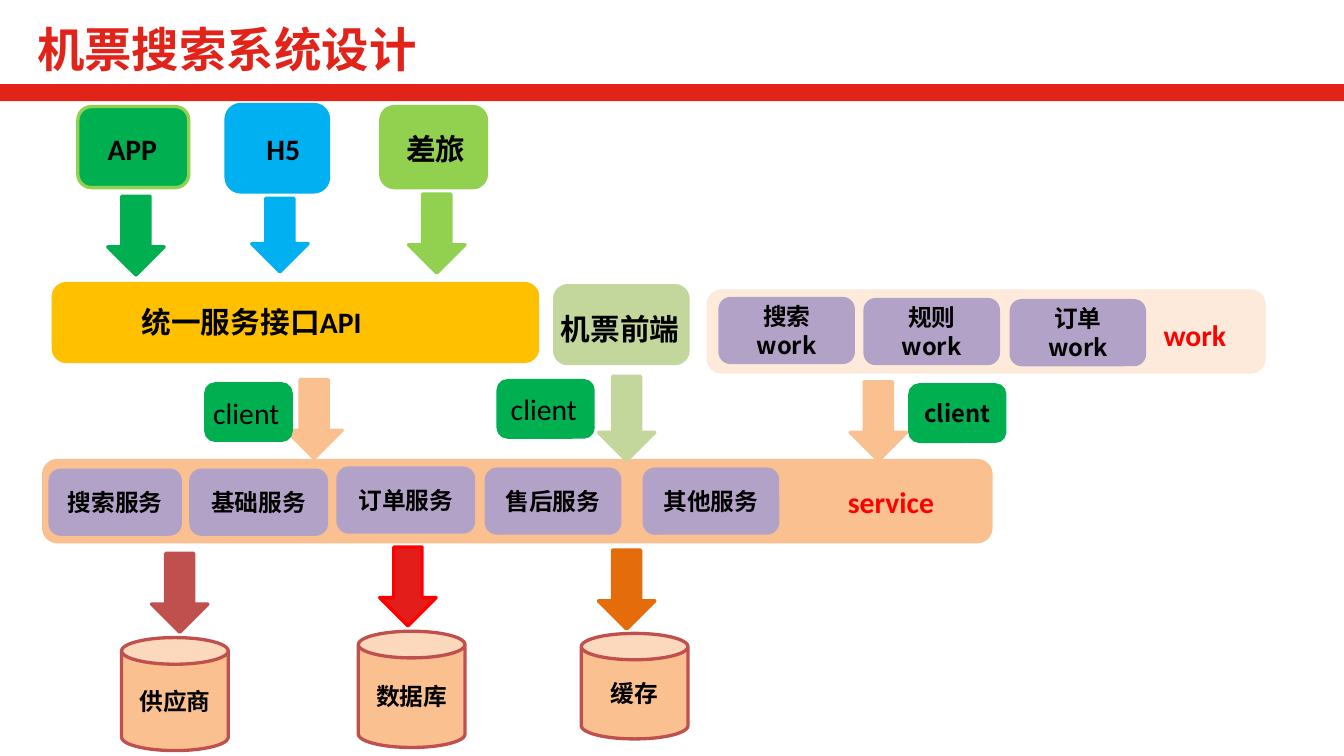
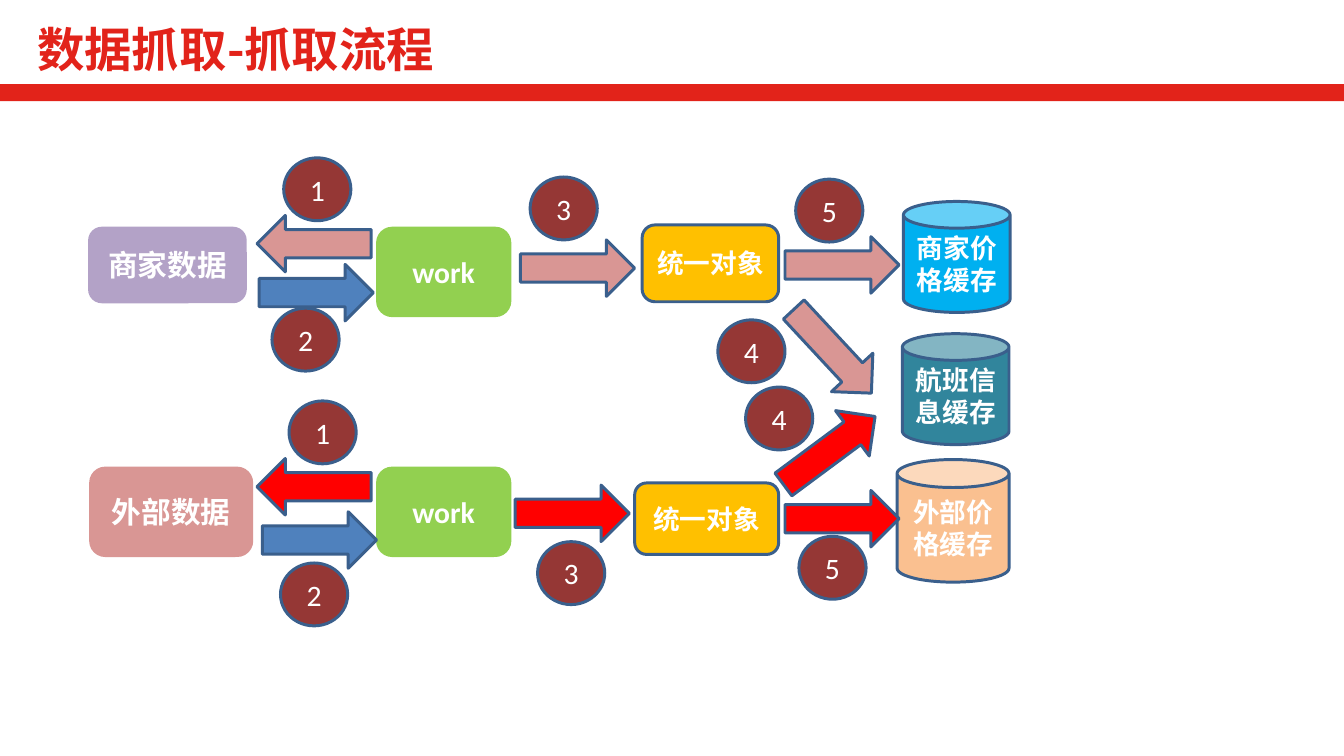
from lxml import etree
from pptx import Presentation
from pptx.dml.color import RGBColor
from pptx.enum.shapes import MSO_SHAPE as SHAPE
from pptx.enum.text import MSO_ANCHOR as ANCHOR, PP_ALIGN as ALIGN
from pptx.oxml.ns import qn
from pptx.util import Inches, Pt

LATIN, CJK = "Calibri", "Noto Sans CJK SC"
BRAND, BLACK, WHITE, RED = "E2231A", "000000", "FFFFFF", "FF0000"
GREEN, LIME, SKY, AMBER = "00B050", "92D050", "00B0F0", "FFC000"
PURPLE, PEACH, CREAM, SAGE = "B3A2C7", "FAC090", "FDEADA", "C3D69B"
BRICK, ORANGE, CRIMSON = "C0504D", "E46C0A", "E31D1A"
ROSE, BLUE, NAVY, TEAL, MAROON = "D99694", "4F81BD", "3A5F8C", "31859C", "953735"


def color(value):
    return RGBColor.from_string(value)


def write(shape, text, size, text_color, font=LATIN, bold=True, align=ALIGN.LEFT):
    """Set the text of a shape as one formatted paragraph."""
    shape.text_frame.text = text
    paragraph = shape.text_frame.paragraphs[0]
    paragraph.alignment = align
    run = paragraph.runs[0]
    run.font.name = font
    run.font.size = Pt(size)
    run.font.bold = bold
    run.font.color.rgb = color(text_color)
    east_asian = etree.SubElement(run.font._element, qn("a:ea"))
    east_asian.set("typeface", CJK)


def add_block(slide, kind, box, fill, line=None, width=2.25, rotation=0):
    """Add a filled preset shape, outlined in its own colour by default."""
    shape = slide.shapes.add_shape(kind, *map(Inches, box))
    shape.shadow.inherit = False
    shape.rotation = rotation
    shape.fill.solid()
    shape.fill.fore_color.rgb = color(fill)
    shape.line.color.rgb = color(line or fill)
    shape.line.width = Pt(width)
    return shape


def add_node(slide, kind, box, text, fill, line=None, width=2.25, **style):
    """Add a shape with centred text."""
    shape = add_block(slide, kind, box, fill, line, width)
    shape.text_frame.word_wrap = True
    shape.text_frame.vertical_anchor = ANCHOR.MIDDLE
    write(shape, text, align=ALIGN.CENTER, **style)


def add_label(slide, box, text, size=20, text_color=BLACK, wrap=False, **style):
    """Add a text box without fill or line."""
    label = slide.shapes.add_textbox(*map(Inches, box))
    label.text_frame.word_wrap = wrap
    write(label, text, size, text_color, **style)


def add_titled_slide(presentation, title):
    """Add a blank slide with the shared band and title."""
    slide = presentation.slides.add_slide(presentation.slide_layouts[6])
    band = add_block(slide, SHAPE.RECTANGLE, (0, 0.79, 12.6, 0.16), BRAND)
    band.line.fill.background()
    add_label(slide, (0.25, 0.14, 6.69, 0.71), title, 32, BRAND, wrap=True, font=CJK)
    return slide


def build_system_slide(presentation):
    slide = add_titled_slide(presentation, "机票搜索系统设计")
    node_style = dict(size=16, text_color=BLACK, font=CJK)

    # Channels, layers and panels
    for box, fill, line in [
        ((0.73, 1, 1.04, 0.76), GREEN, LIME),
        ((2.12, 0.98, 0.96, 0.82), SKY, SKY),
        ((3.57, 1, 0.99, 0.76), LIME, LIME),
        ((0.5, 2.66, 4.54, 0.73), AMBER, AMBER),
        ((5.2, 2.68, 1.25, 0.73), SAGE, SAGE),
        ((6.64, 2.73, 5.21, 0.76), CREAM, CREAM),
        ((0.41, 4.32, 8.88, 0.76), PEACH, PEACH),
    ]:
        add_block(slide, SHAPE.ROUNDED_RECTANGLE, box, fill, line)

    # Down arrows between the layers
    for left, top, height, fill, line in [
        (1.01, 1.84, 0.74, GREEN, GREEN),
        (2.36, 1.86, 0.69, SKY, SKY),
        (3.83, 1.82, 0.74, LIME, LIME),
        (2.68, 3.56, 0.74, PEACH, PEACH),
        (5.61, 3.53, 0.79, SAGE, SAGE),
        (7.97, 3.58, 0.74, PEACH, PEACH),
        (1.42, 5.19, 0.74, BRICK, BRICK),
        (3.56, 5.13, 0.74, CRIMSON, RED),
        (5.61, 5.16, 0.74, ORANGE, ORANGE),
    ]:
        add_block(slide, SHAPE.DOWN_ARROW, (left, top, 0.53, height), fill, line)

    # Workers and services
    for left, top, width, text in [
        (6.75, 2.8, 1.25, "搜索work"),
        (8.11, 2.81, 1.25, "规则work"),
        (9.48, 2.82, 1.25, "订单work"),
        (0.47, 4.41, 1.22, "搜索服务"),
        (1.79, 4.41, 1.27, "基础服务"),
        (3.17, 4.39, 1.27, "订单服务"),
        (4.56, 4.4, 1.25, "售后服务"),
        (6.04, 4.4, 1.25, "其他服务"),
    ]:
        add_node(slide, SHAPE.ROUNDED_RECTANGLE, (left, top, width, 0.6), text,
                 PURPLE, **node_style)

    # Clients
    for left, top, width in [(1.93, 3.6, 0.8), (4.67, 3.57, 0.89)]:
        add_block(slide, SHAPE.ROUNDED_RECTANGLE, (left, top, width, 0.53), GREEN)
    add_node(slide, SHAPE.ROUNDED_RECTANGLE, (8.53, 3.61, 0.89, 0.53), "client",
             GREEN, **node_style)
    for left, top in [(1.9, 3.65), (4.69, 3.62)]:
        add_label(slide, (left, top, 0.83, 0.44), "client", bold=False)

    # Labels
    for left, top, width, text in [
        (0.91, 1.18, 0.67, "APP"),
        (2.4, 1.18, 0.52, "H5"),
        (3.71, 1.18, 0.76, "差旅"),
        (5.16, 2.87, 1.33, "机票前端"),
    ]:
        add_label(slide, (left, top, width, 0.44), text)
    add_label(slide, (1.23, 2.8, 2.44, 0.44), "统一服务接口API", wrap=True)
    for left, top, text in [(7.85, 4.49, "service"), (10.81, 2.92, "work")]:
        add_label(slide, (left, top, 1.09, 0.44), text, text_color=RED, wrap=True)

    # Data stores
    for left, top, height, text in [
        (1.14, 5.98, 1.06, "供应商"),
        (3.36, 5.92, 1.09, "数据库"),
        (5.45, 5.94, 0.99, "缓存"),
    ]:
        add_node(slide, SHAPE.CAN, (left, top, 1, height), text, PEACH, BRICK,
                 **node_style)


def build_flow_slide(presentation):
    slide = add_titled_slide(presentation, "数据抓取-抓取流程")

    # Sources, workers, unified objects and caches
    rounded, can = SHAPE.ROUNDED_RECTANGLE, SHAPE.CAN
    for kind, box, text, size, fill, line in [
        (rounded, (0.84, 2.14, 1.46, 0.69), "商家数据", 20, PURPLE, PURPLE),
        (rounded, (3.54, 2.14, 1.24, 0.82), "work", 20, LIME, LIME),
        (rounded, (6.02, 2.11, 1.28, 0.72), "统一对象", 18, AMBER, NAVY),
        (can, (8.47, 1.89, 1, 1.04), "商家价格缓存", 18, SKY, NAVY),
        (can, (8.46, 3.13, 1, 1.04), "航班信息缓存", 18, TEAL, NAVY),
        (rounded, (0.85, 4.39, 1.51, 0.82), "外部数据", 20, ROSE, ROSE),
        (rounded, (3.54, 4.39, 1.24, 0.82), "work", 20, LIME, LIME),
        (rounded, (5.95, 4.53, 1.35, 0.67), "统一对象", 18, AMBER, NAVY),
        (can, (8.41, 4.31, 1.05, 1.15), "外部价格缓存", 18, PEACH, NAVY),
    ]:
        add_node(slide, kind, box, text, fill, line, 2, size=size, text_color=WHITE)

    # Flow arrows
    for left, top, fill, rotation in [
        (2.41, 2.02, ROSE, 180),
        (2.43, 2.48, BLUE, 0),
        (4.88, 2.25, ROSE, 0),
        (7.36, 2.22, ROSE, 0),
        (7.27, 3.03, ROSE, 47.1),
        (2.41, 4.3, RED, 180),
        (2.46, 4.8, BLUE, 0),
        (4.83, 4.55, RED, 0),
        (7.36, 4.6, RED, 0),
        (7.24, 3.96, RED, 323.4),
    ]:
        add_block(slide, SHAPE.RIGHT_ARROW, (left, top, 1.07, 0.53), fill, NAVY, 2,
                  rotation)

    # Step numbers, upper flow then lower flow
    for flow in [
        [(2.66, 1.48), (2.55, 2.89), (4.97, 1.66), (6.73, 3), (7.46, 1.68)],
        [(2.71, 3.76), (2.63, 5.28), (5.04, 5.08), (6.99, 3.63), (7.49, 5.03)],
    ]:
        for step, (left, top) in enumerate(flow, start=1):
            add_node(slide, SHAPE.OVAL, (left, top, 0.63, 0.59), str(step), MAROON,
                     NAVY, 2, size=20, text_color=WHITE, bold=False)


def main():
    presentation = Presentation()
    presentation.slide_width = Inches(12.6)
    presentation.slide_height = Inches(7.09)
    build_system_slide(presentation)
    build_flow_slide(presentation)
    presentation.save("out.pptx")


if __name__ == "__main__":
    main()
